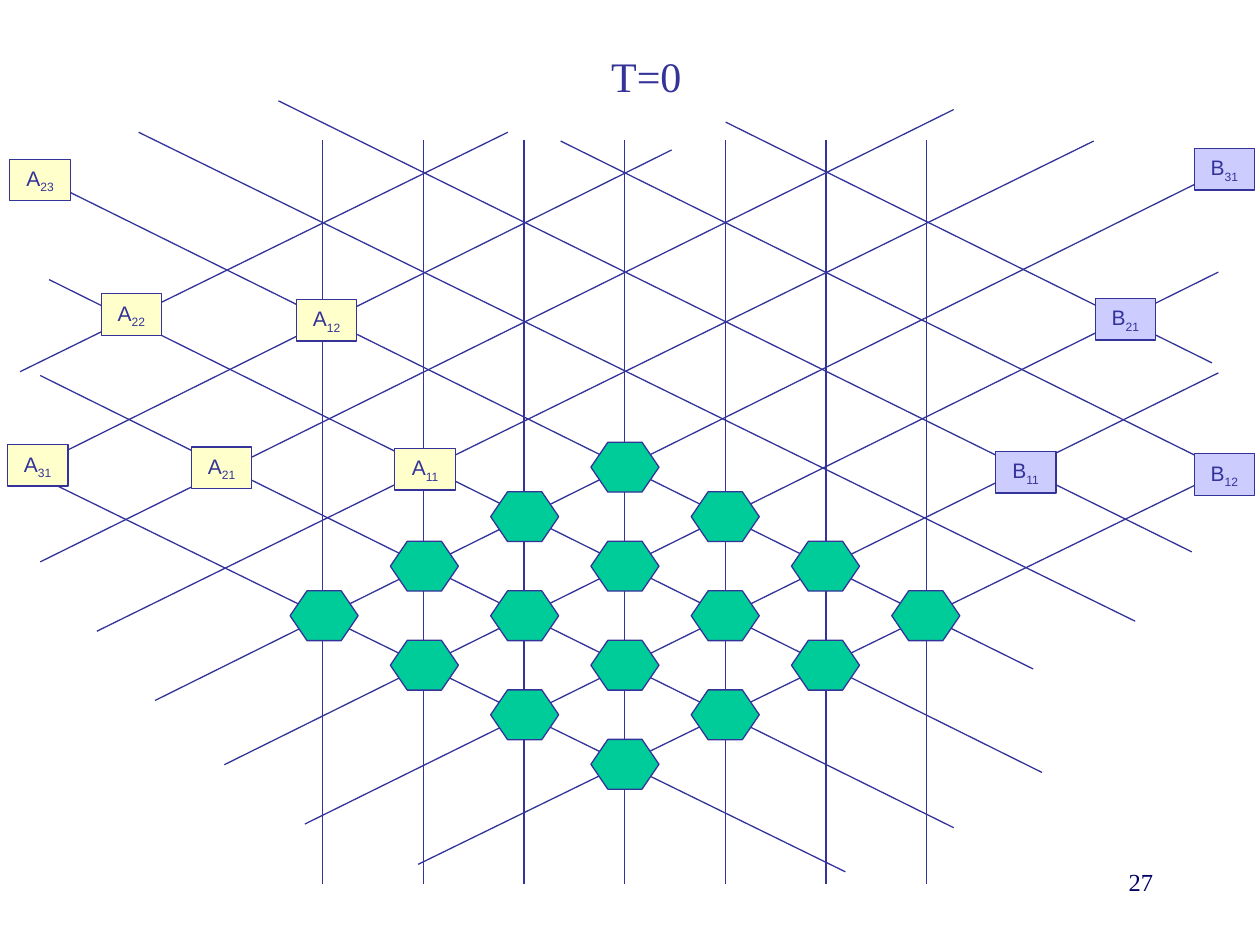
import dataclasses
import typing

import lxml.etree
import pptx
import pptx.dml.color
import pptx.enum.shapes
import pptx.enum.text
import pptx.oxml.ns
import pptx.util

Pt = pptx.util.Pt

COLORS = {
    "ink": "333399",
    "number": "000066",
    "A": "FFFFCC",
    "B": "CCCCFF",
    "cell": "00CC99",
}
LABEL_WIDTH, LABEL_HEIGHT = 34.6, 23.8
CELL_WIDTH, CELL_HEIGHT = 38.9, 28.5
CELL_STEP_X, CELL_STEP_Y = 57.3, 28.3
GRID_SIZE = 4


class Line(typing.NamedTuple):
    start_x: float
    start_y: float
    end_x: float
    end_y: float


@dataclasses.dataclass
class Label:
    matrix: str
    index: str
    left: float
    top: float


DIAGONALS = [
    Line(23, 101.5, 590.4, 382.3),
    Line(28.1, 159.8, 595.4, 441.4),
    Line(23, 214.6, 545, 473),
    Line(24.5, 273.6, 483.1, 498.2),
    Line(697.7, 97.9, 88.6, 400.3),
    Line(696.2, 155.5, 128.2, 437),
    Line(696.2, 213.1, 174.2, 470.9),
    Line(697.7, 270, 239, 493.9),
    Line(290.2, 75.6, 11.5, 212.4),
    Line(383.8, 85.7, 11.5, 270.7),
    Line(545, 62.6, 23, 321.1),
    Line(625, 80.6, 55.4, 360.7),
    Line(414.7, 69.8, 692.6, 207.4),
    Line(320.4, 80.6, 692.6, 265),
    Line(159.1, 57.6, 681.1, 315.4),
    Line(79.2, 75.6, 648.7, 355),
]
VERTICALS = [
    Line(184.5 + 57.5 * column, 80, 184.5 + 57.5 * column, 505.4)
    for column in range(2 * GRID_SIZE - 1)
]
LABELS = [
    Label("B", "11", 568.8, 257.9),
    Label("B", "12", 682.4, 259.2),
    Label("B", "21", 625.8, 170.5),
    Label("B", "31", 682.4, 84.8),
    Label("A", "11", 225.6, 256.2),
    Label("A", "12", 169.3, 171.1),
    Label("A", "21", 109.3, 255.5),
    Label("A", "22", 57.8, 167.8),
    Label("A", "31", 4.2, 254),
    Label("A", "23", 5.6, 91),
]


def color(name: str) -> pptx.dml.color.RGBColor:
    return pptx.dml.color.RGBColor.from_string(COLORS[name])


def style_outline(line) -> None:
    line.color.rgb = color("ink")
    line.width = Pt(0.75)


def style_paragraph(paragraph, font_name: str, size: float, color_name: str, alignment) -> None:
    paragraph.alignment = alignment
    paragraph.font.name = font_name
    paragraph.font.size = Pt(size)
    paragraph.font.color.rgb = color(color_name)


def draw_line(slide, line: Line) -> None:
    connector = slide.shapes.add_connector(
        pptx.enum.shapes.MSO_CONNECTOR.STRAIGHT, *(Pt(value) for value in line)
    )
    style_outline(connector.line)
    lxml.etree.SubElement(connector._element.spPr, pptx.oxml.ns.qn("a:effectLst"))


def draw_shape(slide, kind, left: float, top: float, width: float, height: float, fill: str):
    shape = slide.shapes.add_shape(kind, Pt(left), Pt(top), Pt(width), Pt(height))
    shape.shadow.inherit = False
    shape.fill.solid()
    shape.fill.fore_color.rgb = color(fill)
    style_outline(shape.line)
    return shape


def draw_label(slide, label: Label) -> None:
    shape = draw_shape(
        slide, pptx.enum.shapes.MSO_SHAPE.RECTANGLE,
        label.left, label.top, LABEL_WIDTH, LABEL_HEIGHT, label.matrix,
    )
    shape.text_frame.word_wrap = False
    shape.text_frame.vertical_anchor = pptx.enum.text.MSO_ANCHOR.MIDDLE
    paragraph = shape.text_frame.paragraphs[0]
    style_paragraph(paragraph, "Arial", 12, "ink", pptx.enum.text.PP_ALIGN.CENTER)
    for text, baseline in ((label.matrix, 0), (label.index, -25000)):
        run = paragraph.add_run()
        run.text = text
        run.font.color.rgb = color("ink")
        if baseline:
            run.font._element.set("baseline", str(baseline))


def draw_cell(slide, row: int, column: int) -> None:
    left = 337.7 + CELL_STEP_X * (column - row)
    top = 252.7 + CELL_STEP_Y * (column + row)
    cell = draw_shape(
        slide, pptx.enum.shapes.MSO_SHAPE.HEXAGON,
        left, top, CELL_WIDTH, CELL_HEIGHT, "cell",
    )
    cell.adjustments[0] = 0.34


def place_title(slide) -> None:
    title = slide.shapes.title
    title.left, title.top, title.width, title.height = Pt(342), Pt(25.2), Pt(54.7), Pt(36)
    title.text_frame.text = "T=0"
    title.text_frame.word_wrap = False
    title.text_frame.auto_size = pptx.enum.text.MSO_AUTO_SIZE.NONE
    title.text_frame.vertical_anchor = pptx.enum.text.MSO_ANCHOR.MIDDLE
    style_paragraph(
        title.text_frame.paragraphs[0], "Times New Roman", 24, "ink",
        pptx.enum.text.PP_ALIGN.CENTER,
    )


def draw_page_number(slide) -> None:
    box = slide.shapes.add_textbox(Pt(516.2), Pt(491.8), Pt(149.8), Pt(36))
    box.text_frame.word_wrap = True
    box.text_frame.text = "27"
    style_paragraph(
        box.text_frame.paragraphs[0], "Times New Roman", 14, "number",
        pptx.enum.text.PP_ALIGN.RIGHT,
    )


def main() -> None:
    presentation = pptx.Presentation()
    presentation.slide_width, presentation.slide_height = Pt(720), Pt(540)
    slide = presentation.slides.add_slide(presentation.slide_layouts[5])
    place_title(slide)
    for line in DIAGONALS + VERTICALS:
        draw_line(slide, line)
    for label in LABELS:
        draw_label(slide, label)
    for row in range(GRID_SIZE):
        for column in range(GRID_SIZE):
            draw_cell(slide, row, column)
    draw_page_number(slide)
    presentation.save("out.pptx")


if __name__ == "__main__":
    main()
